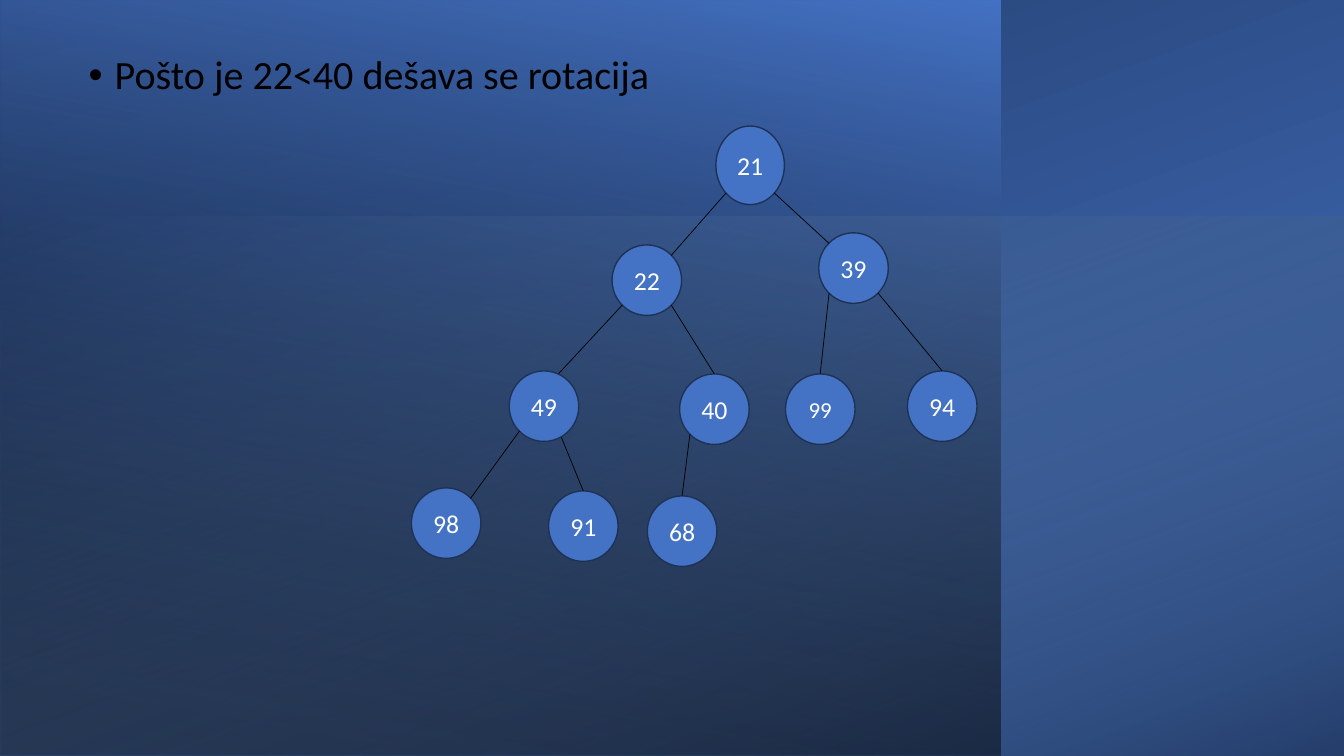
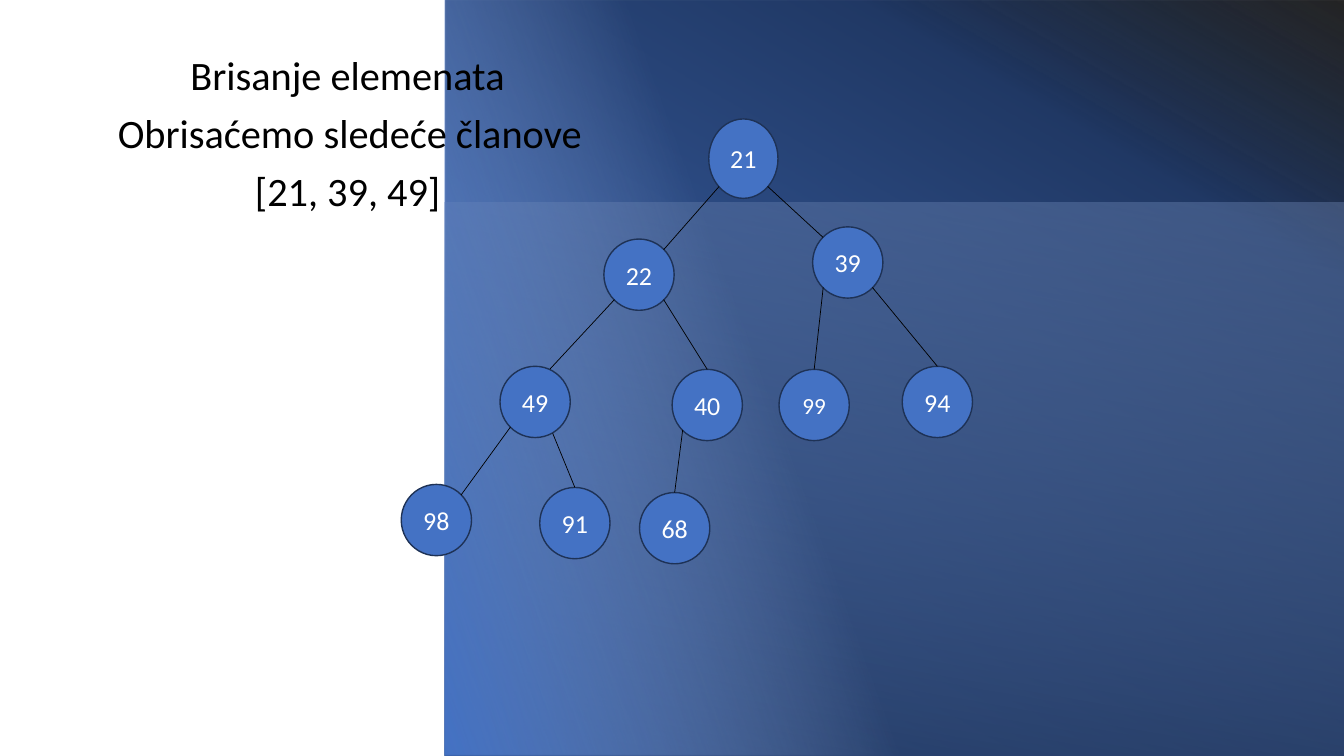
"""Build two slides that show a heap as a binary tree over layered gradients."""
from dataclasses import dataclass

import pptx
import pptx.dml.color
import pptx.enum.shapes
import pptx.enum.text
import pptx.oxml
import pptx.oxml.ns
import pptx.util

Inches, Pt = pptx.util.Inches, pptx.util.Pt
SHAPES = pptx.enum.shapes.MSO_SHAPE
WIDTH, HEIGHT = 13.33, 7.5


@dataclass(frozen=True)
class Theme:
    """Colours, font and line widths that both slides share."""
    font: str = "Calibri"
    text: str = "000000"
    node: str = "4472C4"
    node_edge: str = "1E3256"
    node_text: str = "FFFFFF"
    branch: str = "000000"
    accent: str = "4472C4"
    deep: str = "203864"
    mist: str = "8FAADC"
    sky: str = "9DC3E6"
    shade: str = "000000"
    node_line: float = 1
    branch_line: float = 0.5
    line_spacing: float = 0.9


THEME = Theme()

NODE_SIZE = (0.69, 0.7)
ROOT_SIZE = (0.68, 0.78)
TOP, TOP_LEFT, TOP_RIGHT = (0.5, 0), (0.15, 0.15), (0.85, 0.15)
LOW_LEFT, LOW_RIGHT = (0.15, 0.85), (0.85, 0.85)

# value: offset from the root, parent, joint on the node, joint on the parent
TREE = {
    "21": ((0, 0), None, None, None),
    "39": ((1.02, 1.06), "21", TOP_LEFT, LOW_RIGHT),
    "22": ((-1.03, 1.18), "21", TOP_RIGHT, LOW_LEFT),
    "49": ((-2.05, 2.43), "22", (0.71, 0.04), LOW_LEFT),
    "40": ((-0.36, 2.46), "22", TOP, LOW_RIGHT),
    "99": ((0.69, 2.46), "39", TOP, LOW_LEFT),
    "94": ((1.9, 2.43), "39", TOP, LOW_RIGHT),
    "98": ((-3.02, 3.59), "49", TOP_RIGHT, LOW_LEFT),
    "91": ((-1.66, 3.62), "49", TOP, (0.75, 0.94)),
    "68": ((-0.68, 3.67), "40", TOP, LOW_LEFT),
}
SMALL_LABEL = "99"

SLIDES = [
    {
        "layers": [
            {"frame": (0, 0, WIDTH, HEIGHT), "turn": 270, "flip": True, "angle": 200,
             "stops": [(8, THEME.accent, 100), (100, THEME.deep, 100)]},
            {"frame": (0, 0, 9.92, HEIGHT), "turn": 180, "flip": True, "angle": 80,
             "stops": [(8, THEME.shade, 52), (100, THEME.accent, 100)]},
            {"frame": (0, 2.15, WIDTH, 5.35), "turn": 270, "flip": True, "angle": 20,
             "stops": [(0, THEME.sky, 0), (100, THEME.shade, 46)]},
        ],
        "body": (0.78, 0.5, 11.77, 6.5),
        "body_size": 28.6,
        "space_before": 10.2,
        "bullet": "•",
        "lines": [("Pošto je 22<40 dešava se rotacija", 0.26)],
        "root": (7.1, 1.25),
        "scale": 1,
        "label_sizes": (18.4, 16.3),
    },
    {
        "layers": [
            {"frame": (4.42, 0, 8.92, HEIGHT), "turn": 0, "flip": False, "angle": 300,
             "stops": [(2, THEME.accent, 100), (78, THEME.deep, 100),
                       (100, THEME.shade, 85)]},
            {"frame": (4.41, 2.01, 8.92, 5.49), "turn": 0, "flip": True, "angle": 80,
             "stops": [(0, THEME.mist, 30), (100, THEME.shade, 44)]},
            {"frame": (4.41, 0, 7.57, HEIGHT), "turn": 90, "flip": True, "angle": 110,
             "stops": [(56, THEME.mist, 0), (100, THEME.accent, 100)]},
        ],
        "body": (0.71, 0.5, 11.91, 6.5),
        "body_size": 28.8,
        "space_before": 10.3,
        "bullet": None,
        "lines": [("Brisanje elemenata", 1.08),
                  ("Obrisaćemo sledeće članove", 0.36),
                  ("[21, 39, 49]", 1.72)],
        "root": (7.03, 1.18),
        "scale": 1.01,
        "label_sizes": (18.5, 16.5),
    },
]


def rgb(code):
    return pptx.dml.color.RGBColor.from_string(code)


def add_run(paragraph, words, size, colour):
    run = paragraph.add_run()
    run.text = words
    run.font.name = THEME.font
    run.font.size = Pt(size)
    run.font.color.rgb = rgb(colour)


def gradient(stops, angle):
    marks = "".join(
        f'<a:gs pos="{place * 1000}"><a:srgbClr val="{colour}">'
        f'<a:alpha val="{opacity * 1000}"/></a:srgbClr></a:gs>'
        for place, colour, opacity in stops)
    return pptx.oxml.parse_xml(
        f'<a:gradFill {pptx.oxml.ns.nsdecls("a")}><a:gsLst>{marks}</a:gsLst>'
        f'<a:lin ang="{angle * 60000}" scaled="0"/></a:gradFill>')


def add_layer(slide, frame, turn, flip, angle, stops):
    left, top, width, height = frame
    if turn % 180:
        left, top = left + (width - height) / 2, top + (height - width) / 2
        width, height = height, width
    layer = slide.shapes.add_shape(SHAPES.RECTANGLE, *map(Inches, (left, top, width, height)))
    layer.shadow.inherit = False
    layer.line.fill.background()
    layer.rotation = turn
    properties = layer._element.spPr
    if flip:
        properties.xfrm.set("flipH", "1")
    properties.find(pptx.oxml.ns.qn("a:prstGeom")).addnext(gradient(stops, angle))


def add_body(slide, content):
    frame = slide.shapes.add_textbox(*map(Inches, content["body"])).text_frame
    frame.word_wrap = True
    for index, (words, indent) in enumerate(content["lines"]):
        paragraph = frame.add_paragraph() if index else frame.paragraphs[0]
        paragraph.line_spacing = THEME.line_spacing
        paragraph.space_before = Pt(content["space_before"])
        properties = paragraph._p.get_or_add_pPr()
        properties.set("marL", str(Inches(indent)))
        if content["bullet"]:
            properties.set("indent", str(-Inches(indent)))
            namespace = pptx.oxml.ns.nsdecls("a")
            properties.append(pptx.oxml.parse_xml(f'<a:buFont {namespace} typeface="Arial"/>'))
            properties.append(pptx.oxml.parse_xml(
                f'<a:buChar {namespace} char="{content["bullet"]}"/>'))
        add_run(paragraph, words, content["body_size"], THEME.text)


def add_node(slide, box, value, size):
    node = slide.shapes.add_shape(SHAPES.OVAL, *map(Inches, box))
    node.shadow.inherit = False
    node.fill.solid()
    node.fill.fore_color.rgb = rgb(THEME.node)
    node.line.color.rgb = rgb(THEME.node_edge)
    node.line.width = Pt(THEME.node_line)
    frame = node.text_frame
    frame.margin_left = frame.margin_right = frame.margin_top = frame.margin_bottom = 0
    frame.vertical_anchor = pptx.enum.text.MSO_ANCHOR.MIDDLE
    label = frame.paragraphs[0]
    label.alignment = pptx.enum.text.PP_ALIGN.CENTER
    label.space_after = Pt(6)
    add_run(label, value, size, THEME.node_text)


def joint(box, share):
    left, top, width, height = box
    return Inches(left + share[0] * width), Inches(top + share[1] * height)


def add_branch(slide, start, end):
    branch = slide.shapes.add_connector(
        pptx.enum.shapes.MSO_CONNECTOR.STRAIGHT, *start, *end)
    branch.line.color.rgb = rgb(THEME.branch)
    branch.line.width = Pt(THEME.branch_line)
    branch._element.spPr.append(pptx.oxml.parse_xml(
        f'<a:effectLst {pptx.oxml.ns.nsdecls("a")}/>'))


def add_tree(slide, root, scale, label_sizes):
    boxes = {}
    for value, (offset, parent, node_joint, parent_joint) in TREE.items():
        place = [origin + scale * step for origin, step in zip(root, offset)]
        extent = [scale * side for side in (NODE_SIZE if parent else ROOT_SIZE)]
        boxes[value] = (*place, *extent)
        add_node(slide, boxes[value], value, label_sizes[value == SMALL_LABEL])
        if parent:
            add_branch(slide, joint(boxes[value], node_joint),
                       joint(boxes[parent], parent_joint))


def main():
    deck = pptx.Presentation()
    deck.slide_width, deck.slide_height = Inches(WIDTH), Inches(HEIGHT)
    for content in SLIDES:
        slide = deck.slides.add_slide(deck.slide_layouts[6])
        for layer in content["layers"]:
            add_layer(slide, **layer)
        add_body(slide, content)
        add_tree(slide, content["root"], content["scale"], content["label_sizes"])
    deck.save("out.pptx")


if __name__ == "__main__":
    main()
